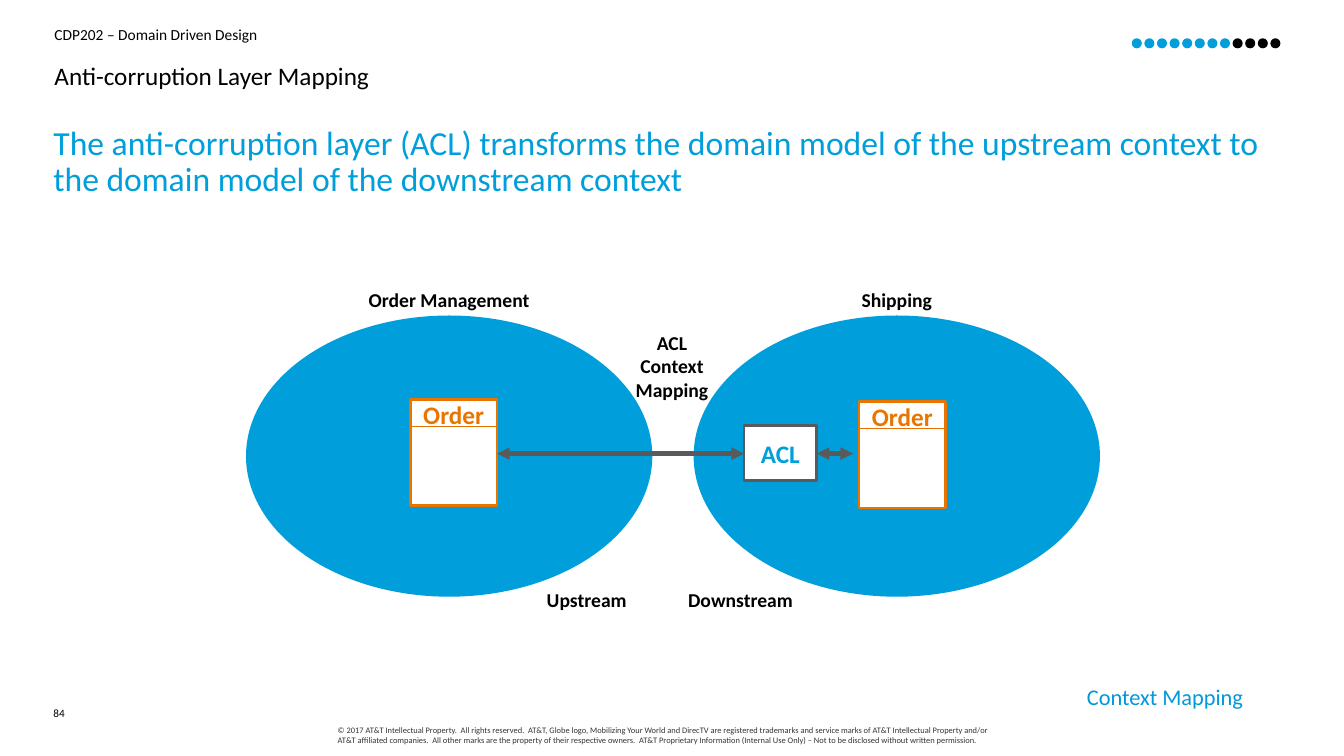
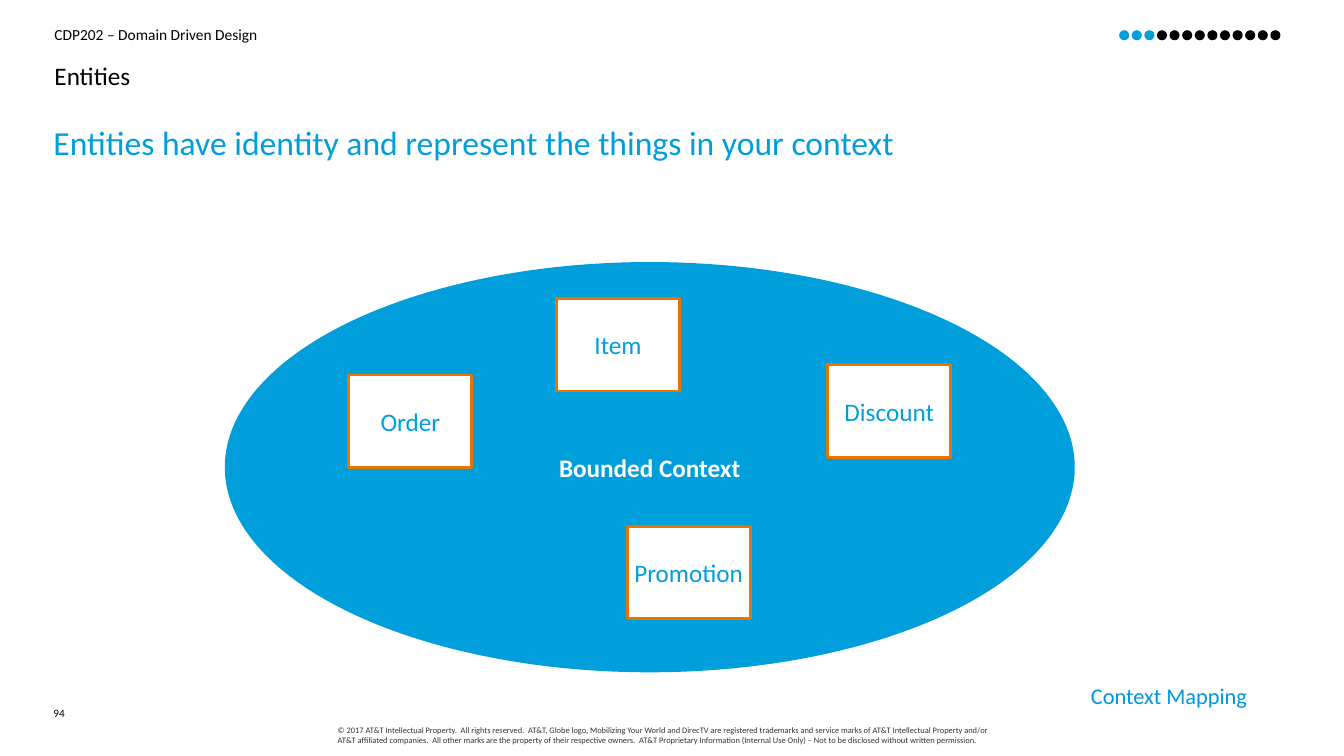
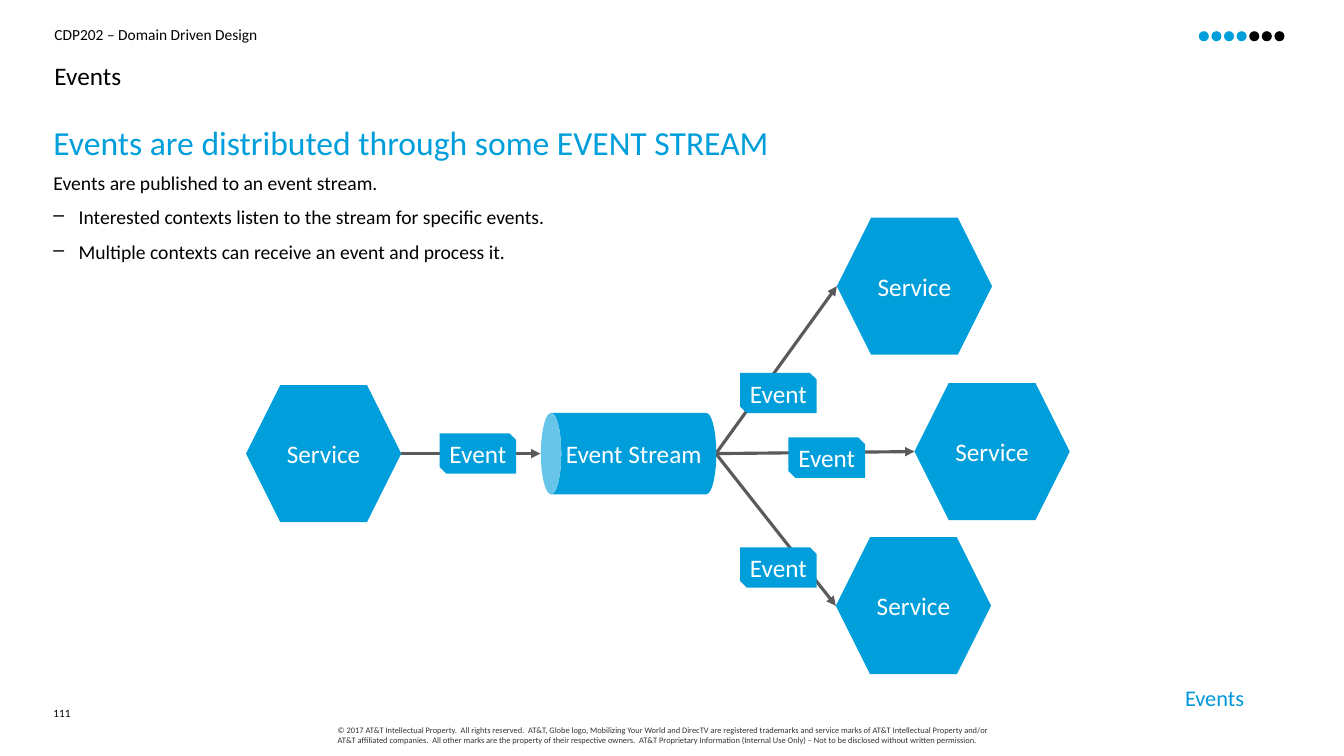
from lxml.etree import SubElement
from pptx import Presentation
from pptx.dml.color import RGBColor
from pptx.enum.shapes import MSO_CONNECTOR, MSO_SHAPE
from pptx.enum.text import MSO_ANCHOR, MSO_AUTO_SIZE, PP_ALIGN
from pptx.oxml.ns import qn
from pptx.util import Inches, Pt

BLUE, ORANGE, GRAY = "009FDB", "EA7400", "5A5A5A"
BLACK, WHITE = "000000", "FFFFFF"
DOT, PITCH = 0.1, 1 / 8
COURSE = "CDP202 – Domain Driven Design"
LEGAL = (
    "© 2017 AT&T Intellectual Property.  All rights reserved.  AT&T, Globe logo, "
    "Mobilizing Your World and DirecTV are registered trademarks and service marks of "
    "AT&T Intellectual Property and/or AT&T affiliated companies.  All other marks are "
    "the property of their respective owners.  AT&T Proprietary Information "
    "(Internal Use Only) – Not to be disclosed without written permission."
)
FRAME = {
    "margin_left": 0, "margin_right": 0, "margin_top": 0, "margin_bottom": 0,
    "auto_size": MSO_AUTO_SIZE.NONE, "word_wrap": True,
}
CENTER = {"alignment": PP_ALIGN.CENTER}
LEFT = {"alignment": PP_ALIGN.LEFT}
RIGHT = {"alignment": PP_ALIGN.RIGHT}
HEAD = {**LEFT, "line_spacing": 1.1, "space_after": Pt(10)}
LEAD = {**LEFT, "line_spacing": 0.9, "space_after": Pt(6)}
POINT = {**LEFT, "space_after": Pt(8)}


def hue(code):
    """Turn a hex string into a colour."""
    return RGBColor.from_string(code)


def apply(target, values):
    """Set each named value on the target."""
    for key, value in values.items():
        setattr(target, key, value)


def area(box):
    """Turn a box in inches into lengths."""
    return [Inches(value) for value in box]


def style(para, text, size, color, layout, bold=False):
    """Fill one paragraph with styled text."""
    apply(para, layout)
    run = para.add_run()
    run.text = text
    apply(run.font, {"name": "Calibri", "size": Pt(size), "bold": bold})
    run.font.color.rgb = hue(color)


def write(shape, text, size, color, layout=LEFT, bold=False, anchor=MSO_ANCHOR.TOP, wrap=True):
    """Write lines of text into a shape."""
    frame = shape.text_frame
    apply(frame, {**FRAME, "vertical_anchor": anchor, "word_wrap": wrap})
    for index, line in enumerate(text.split("\n")):
        para = frame.add_paragraph() if index else frame.paragraphs[0]
        style(para, line, size, color, layout, bold)
    return frame


def note(slide, box, text, size, color=BLACK, layout=LEFT, **look):
    """Add a text box."""
    return write(slide.shapes.add_textbox(*area(box)), text, size, color, layout, **look)


def label(slide, box, text):
    """Add a bold centred caption."""
    note(slide, box, text, 14, layout=CENTER, bold=True, wrap=False)


def block(slide, kind, box, text="", fill=BLUE, edge=None, color=WHITE, **look):
    """Add a filled shape with centred text."""
    shape = slide.shapes.add_shape(kind, *area(box))
    shape.shadow.inherit = False
    shape.fill.solid()
    shape.fill.fore_color.rgb = hue(fill)
    if edge:
        shape.line.color.rgb = hue(edge)
        shape.line.width = Pt(2)
    else:
        shape.line.fill.background()
    if text:
        write(shape, text, 18, color, CENTER, **{"anchor": MSO_ANCHOR.MIDDLE, **look})
    return shape


def link(slide, start, end, width=2.25, color=GRAY, tips=("tailEnd",)):
    """Draw a line with the given arrow tips."""
    line = slide.shapes.add_connector(MSO_CONNECTOR.STRAIGHT, *area(start + end))
    line.line.color.rgb = hue(color)
    line.line.width = Pt(width)
    edge = line.line._get_or_add_ln()
    for tip in tips:
        SubElement(edge, qn("a:" + tip), type="triangle")
    SubElement(line._element.spPr, qn("a:effectLst"))


def dots(slide, right, top, count, done):
    """Draw the progress dots, ending at the right."""
    for index in range(count):
        left = right - DOT - (count - 1 - index) * PITCH
        color = BLUE if index < done else BLACK
        block(slide, MSO_SHAPE.OVAL, (left, top, DOT, DOT), fill=color)


def page(deck, number, title, lead, track, tag, spot):
    """Add a slide with the shared parts and return it with its body."""
    slide = deck.slides.add_slide(deck.slide_layouts[5])
    head = slide.shapes.title
    places = zip(("left", "top", "width", "height"), area((0.54, 0.57, 12.26, 0.37)))
    apply(head, dict(places))
    write(head, title, 18, BLACK, HEAD)
    note(slide, (0.54, 0.25, 10, 0.2), COURSE, 11)
    note(slide, (3.35, 7.19, 6.64, 0.24), LEGAL, 6, "343434")
    note(slide, (0.53, 7, 0.32, 0.25), number, 8, layout={**LEFT, "line_spacing": Pt(10)})
    body = note(slide, (0.53, 1.25, 12.26, 1.5), lead, 24, BLUE, LEAD)
    dots(slide, *track)
    right, top = spot
    note(slide, (right - 2, top, 2, 0.27), tag, 16, "0097DB", RIGHT)
    return slide, body


def bullet(para):
    """Give a paragraph a hanging dash."""
    props = para._p.get_or_add_pPr()
    apply_in = {"marL": Inches(0.25), "indent": -Inches(0.25)}
    for key, value in apply_in.items():
        props.set(key, str(value))
    color = SubElement(props, qn("a:buClr"))
    SubElement(color, qn("a:srgbClr"), val=BLACK)
    SubElement(props, qn("a:buChar"), char="–")


def order(slide, left, top):
    """Draw an order class box with its header rule."""
    wide, rule = 0.86, top + 0.27
    block(slide, MSO_SHAPE.RECTANGLE, (left, top, wide, 1.06), "Order", WHITE, ORANGE,
          ORANGE, bold=True, anchor=MSO_ANCHOR.TOP)
    link(slide, (left, rule), (left + wide, rule), 0.75, "E57100", ())


def mapping(slide, box):
    """Draw two contexts joined by a translating layer."""
    left, top, wide, high = box
    oval = 4.03
    far = left + wide - oval
    for start, name in ((left, "Order Management"), (far, "Shipping")):
        block(slide, MSO_SHAPE.OVAL, (start, top, oval, high))
        label(slide, (start, top - 0.27, oval, 0.24), name)
    order(slide, left + 1.63, top + 0.83)
    order(slide, far + 1.64, top + 0.85)
    label(slide, (left + 3.86, top + 0.15, 0.73, 0.71), "ACL\nContext\nMapping")
    label(slide, (left + 2.98, top + 2.7, 0.8, 0.24), "Upstream")
    label(slide, (left + 4.38, top + 2.7, 1.05, 0.24), "Downstream")
    level, gate = top + 1.37, far + 0.5
    for start, end in ((left + 2.49, gate), (gate + 0.72, gate + 1.08)):
        link(slide, (start, level), (end, level), 3, tips=("headEnd", "tailEnd"))
    block(slide, MSO_SHAPE.RECTANGLE, (gate, top + 1.09, 0.72, 0.55), "ACL", WHITE, GRAY,
          BLUE, bold=True)


def bounds(slide, box):
    """Draw a bounded context holding its entities."""
    left, top = box[:2]
    block(slide, MSO_SHAPE.OVAL, box, "Bounded Context", bold=True)
    cards = {"Order": (1.23, 1.12), "Item": (3.29, 0.36),
             "Promotion": (3.99, 2.62), "Discount": (5.98, 1.02)}
    for name, (across, down) in cards.items():
        block(slide, MSO_SHAPE.RECTANGLE, (left + across, top + down, 1.22, 0.92),
              name, WHITE, ORANGE, BLUE)


def stream(slide, box):
    """Draw services that exchange events through a stream."""
    left, top, wide, high = box
    hexa, tall = 1.54, 1.36
    level = top + 2.34
    link(slide, (left + hexa, level), (left + 2.92, level))
    goals = ((5.86, 0), (wide - hexa, 1.64), (5.85, high - tall))
    for across, down in goals:
        link(slide, (left + 4.66, level), (left + across, top + down + tall / 2))
    for across, down in ((0, 1.66),) + goals:
        block(slide, MSO_SHAPE.HEXAGON, (left + across, top + down, hexa, tall), "Service")
    can = block(slide, MSO_SHAPE.CAN, (left + 3.39, level - 0.87, 0.81, 1.74), "Event Stream")
    can.rotation = 270
    can.text_frame._txBody.bodyPr.set("vert", "vert")
    for across, down in ((1.92, 2.14), (4.9, 1.54), (5.38, 2.18), (4.9, 3.27)):
        block(slide, MSO_SHAPE.SNIP_2_DIAG_RECTANGLE,
              (left + across, top + down, 0.76, 0.4), "Event")


def main():
    """Build and save the slides."""
    deck = Presentation()
    apply(deck, {"slide_width": Inches(13.33), "slide_height": Inches(7.5)})
    slide, _ = page(
        deck, "84", "Anti-corruption Layer Mapping",
        "The anti-corruption layer (ACL) transforms the domain model of the upstream "
        "context to the domain model of the downstream context",
        (12.7, 0.38, 12, 8), "Context Mapping", (12.33, 6.78))
    mapping(slide, (2.44, 3.13, 8.47, 2.79))

    slide, _ = page(
        deck, "94", "Entities",
        "Entities have identity and represent the things in your context",
        (12.7, 0.3, 13, 3), "Context Mapping", (12.37, 6.77))
    bounds(slide, (2.23, 2.6, 8.43, 4.07))

    slide, body = page(
        deck, "111", "Events", "Events are distributed through some EVENT STREAM",
        (12.74, 0.31, 7, 4), "Events", (12.34, 6.79))
    points = ("Events are published to an event stream.",
              "Interested contexts listen to the stream for specific events.",
              "Multiple contexts can receive an event and process it.")
    for index, text in enumerate(points):
        para = body.add_paragraph()
        if index:
            bullet(para)
        style(para, text, 14, BLACK, POINT)
    stream(slide, (2.44, 2.16, 8.17, 4.53))
    deck.save("out.pptx")


if __name__ == "__main__":
    main()
